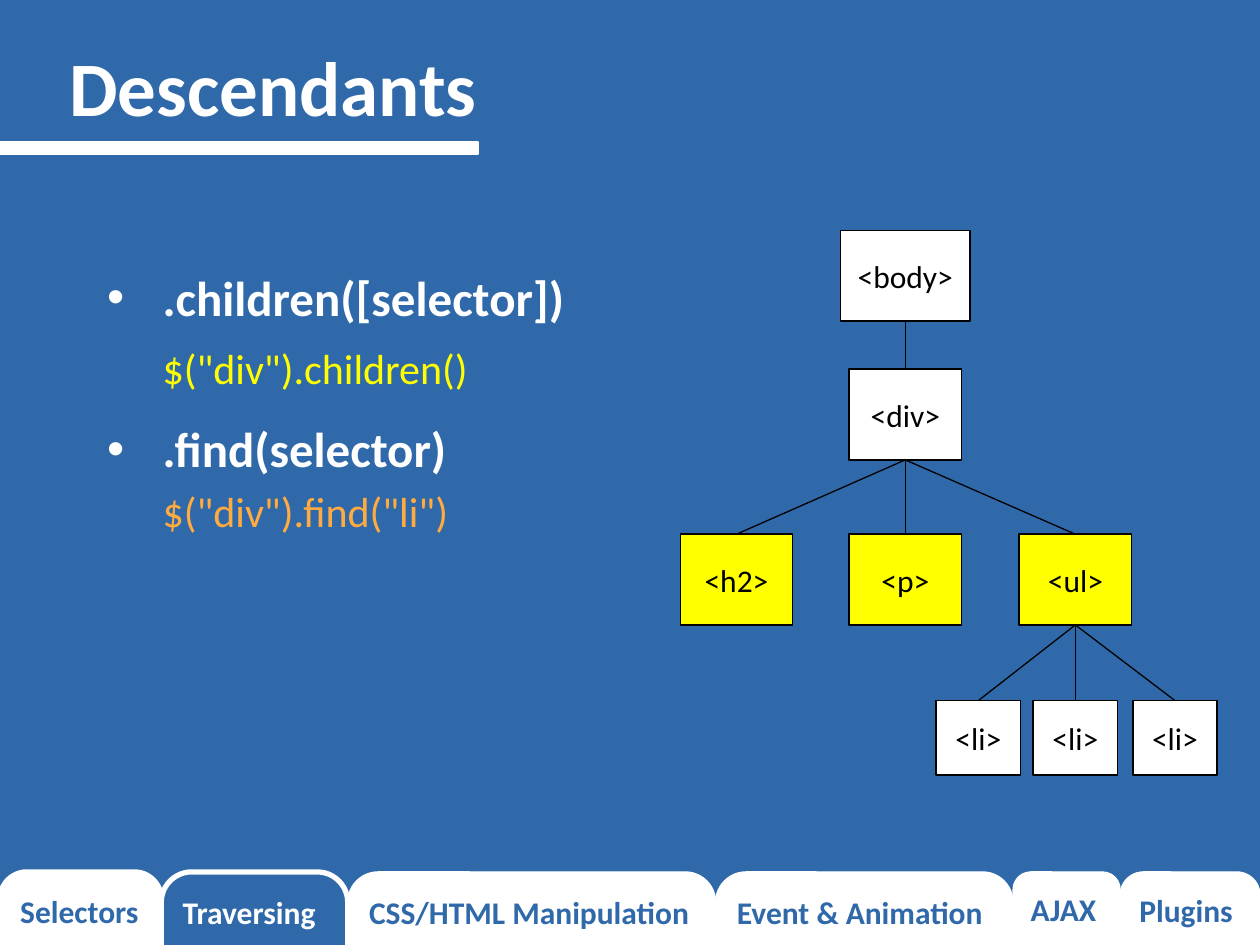
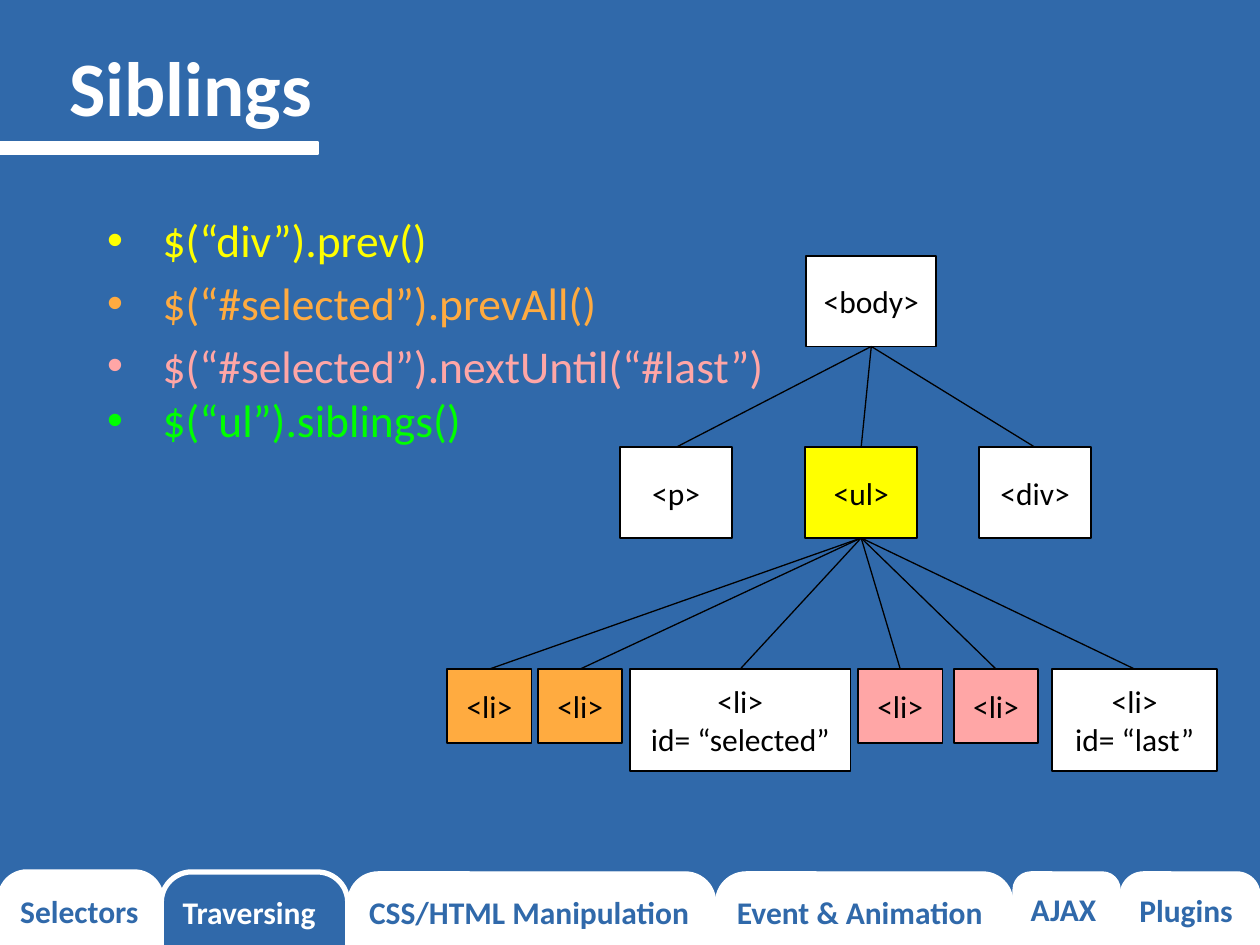
from dataclasses import dataclass, field

from lxml.etree import SubElement
from pptx import Presentation
from pptx.dml.color import RGBColor
from pptx.enum.shapes import MSO_CONNECTOR, MSO_SHAPE
from pptx.enum.text import MSO_ANCHOR, MSO_AUTO_SIZE, PP_ALIGN
from pptx.oxml.ns import qn
from pptx.util import Inches, Pt


@dataclass(frozen=True)
class Theme:
    blue: str = "3069AA"
    white: str = "FFFFFF"
    black: str = "000000"
    yellow: str = "FFFF00"
    orange: str = "FFAB40"
    pink: str = "FFA6A6"
    green: str = "00FF00"
    font: str = "Calibri"
    title_size: int = 44
    method_size: int = 28
    call_size: int = 26
    example_size: int = 24
    label_size: int = 18


THEME = Theme()

# Node sizes: width, height
ROOT = (1.03, 0.72)
ELEMENT = (0.89, 0.72)
ITEM = (0.67, 0.59)

TABS = ["Selectors", "Traversing", "CSS/HTML Manipulation",
        "Event & Animation", "AJAX", "Plugins"]
TAB_EDGES = [0, 1.28, 2.76, 5.68, 8.04, 8.89, 10]
CURRENT_TAB = "Traversing"
TAB_TOP, TAB_HEIGHT = 6.92, 1.45


@dataclass
class Node:
    label: str
    left: float
    top: float
    size: tuple
    fill: str = THEME.white
    children: list = field(default_factory=list)


@dataclass
class Entry:
    text: str
    size: int
    color: str
    bold: bool = False
    bullet: bool = True
    before: float = 0
    spacing: float = 1.15


def set_attributes(target, values):
    for name, value in values.items():
        setattr(target, name, value)


def style_font(font, size, color, bold=False):
    set_attributes(font, {"name": THEME.font, "size": Pt(size), "bold": bold})
    font.color.rgb = RGBColor.from_string(color)


def place(shape, left, top, width, height):
    set_attributes(shape, {"left": Inches(left), "top": Inches(top),
                           "width": Inches(width), "height": Inches(height)})


def add_filled_shape(slide, kind, box, fill, line, line_width):
    shape = slide.shapes.add_shape(kind, *map(Inches, box))
    shape.shadow.inherit = False
    shape.fill.solid()
    shape.fill.fore_color.rgb = RGBColor.from_string(fill)
    shape.line.color.rgb = RGBColor.from_string(line)
    shape.line.width = Pt(line_width)
    return shape


def add_label(shape, text, color, alignment, bold=False):
    frame = shape.text_frame
    frame.word_wrap = True
    frame.text = text
    for paragraph in frame.paragraphs:
        paragraph.alignment = alignment
        style_font(paragraph.font, THEME.label_size, color, bold)
    return frame


# Title with the white bar that runs in from the left edge
def add_title(slide, text, bar_left, bar_width):
    title = slide.shapes.title
    place(title, 0.45, 0, 8.62, 1.45)
    frame = title.text_frame
    frame.text = text
    set_attributes(frame, {"vertical_anchor": MSO_ANCHOR.MIDDLE,
                           "auto_size": MSO_AUTO_SIZE.NONE})
    heading = frame.paragraphs[0]
    set_attributes(heading, {"alignment": PP_ALIGN.LEFT, "line_spacing": 0.9})
    style_font(heading.runs[0].font, THEME.title_size, THEME.white, True)
    bar = add_filled_shape(slide, MSO_SHAPE.MATH_MINUS,
                           (bar_left, 0.97, bar_width, 0.41),
                           THEME.white, THEME.white, 0.75)
    bar.adjustments[0] = 0.235


# Method list in the body placeholder
def add_entries(slide, box, entries):
    body = slide.placeholders[1]
    place(body, *box)
    frame = body.text_frame
    frame.auto_size = MSO_AUTO_SIZE.NONE
    frame.text = "\n".join(entry.text for entry in entries)
    for paragraph, entry in zip(frame.paragraphs, entries):
        set_attributes(paragraph, {"line_spacing": entry.spacing,
                                   "space_before": Pt(entry.before)})
        style_font(paragraph.runs[0].font, entry.size, entry.color, entry.bold)
        properties = paragraph._p.get_or_add_pPr()
        properties.set("marL", str(Inches(0.5)))
        properties.set("indent", str(Inches(-0.44 if entry.bullet else 0)))
        if not entry.bullet:
            SubElement(properties, qn("a:buNone"))


# Element tree: each node is joined to its parent
def add_branch(slide, node, parent=None):
    box = add_filled_shape(slide, MSO_SHAPE.RECTANGLE,
                           (node.left, node.top, *node.size),
                           node.fill, THEME.black, 1)
    frame = add_label(box, node.label, THEME.black, PP_ALIGN.CENTER)
    frame.vertical_anchor = MSO_ANCHOR.MIDDLE
    if parent is not None:
        join_nodes(slide, parent, box)
    for child in node.children:
        add_branch(slide, child, box)


def join_nodes(slide, parent, child):
    branch = slide.shapes.add_connector(MSO_CONNECTOR.STRAIGHT, 0, 0, 0, 0)
    branch.begin_connect(parent, 2)
    branch.end_connect(child, 0)
    branch.line.color.rgb = RGBColor.from_string(THEME.black)
    branch.line.width = Pt(0.75)
    SubElement(branch._element.spPr, qn("a:effectLst"))


# Chapter tabs along the bottom edge
def add_tabs(slide):
    for name, left, right in zip(TABS, TAB_EDGES, TAB_EDGES[1:]):
        current = name == CURRENT_TAB
        fill, ink = ((THEME.blue, THEME.white) if current
                     else (THEME.white, THEME.blue))
        outline = 3 if name in ("Selectors", CURRENT_TAB) else 0.75
        tab = add_filled_shape(slide, MSO_SHAPE.ROUNDED_RECTANGLE,
                               (left, TAB_TOP, right - left, TAB_HEIGHT),
                               fill, THEME.white, outline)
        frame = add_label(tab, name, ink, PP_ALIGN.LEFT, True)
        set_attributes(frame, {"vertical_anchor": MSO_ANCHOR.TOP,
                               "margin_top": Inches(0.1),
                               "margin_bottom": Inches(0.1)})


def add_topic(deck, title, bar, entries_box, entries, tree):
    slide = deck.slides.add_slide(deck.slide_layouts[1])
    add_title(slide, title, *bar)
    add_entries(slide, entries_box, entries)
    add_branch(slide, tree)
    add_tabs(slide)


def descendants_tree():
    items = [Node("<li>", left, 5.56, ITEM) for left in (7.43, 8.2, 8.99)]
    elements = [
        Node("<h2>", 5.4, 4.24, ELEMENT, THEME.yellow),
        Node("<p>", 6.74, 4.24, ELEMENT, THEME.yellow),
        Node("<ul>", 8.09, 4.24, ELEMENT, THEME.yellow, items),
    ]
    division = Node("<div>", 6.74, 2.93, ELEMENT, children=elements)
    return Node("<body>", 6.67, 1.83, ROOT, children=[division])


def siblings_tree():
    items = [Node("<li>", left, 5.31, ITEM, fill) for left, fill in (
        (3.55, THEME.orange), (4.27, THEME.orange),
        (6.81, THEME.pink), (7.57, THEME.pink))]
    items += [Node("<li>\nid= “selected”", 5, 5.31, (1.75, 0.81)),
              Node("<li>\nid= “last”", 8.35, 5.31, (1.31, 0.81))]
    elements = [
        Node("<p>", 4.92, 3.55, ELEMENT),
        Node("<ul>", 6.39, 3.55, ELEMENT, THEME.yellow, items),
        Node("<div>", 7.77, 3.55, ELEMENT),
    ]
    return Node("<body>", 6.4, 2.03, ROOT, children=elements)


def main():
    deck = Presentation()
    set_attributes(deck, {"slide_width": Inches(10),
                          "slide_height": Inches(7.5)})
    background = deck.slide_master.background.fill
    background.solid()
    background.fore_color.rgb = RGBColor.from_string(THEME.blue)

    add_topic(deck, "Descendants", (-1.23, 5.79), (0.69, 2, 4.64, 4.76), [
        Entry(".children([selector])", THEME.method_size, THEME.white, True),
        Entry('$("div").children()', THEME.example_size, THEME.yellow,
              bullet=False, before=5),
        Entry(".find(selector)", THEME.method_size, THEME.white, True,
              before=10),
        Entry('$("div").find("li")', THEME.example_size, THEME.orange,
              bullet=False),
    ], descendants_tree())

    add_topic(deck, "Siblings", (-0.59, 3.59), (0.69, 1.57, 6.1, 5.14), [
        Entry("$(“div”).prev()", THEME.call_size, THEME.yellow),
        Entry("$(“#selected”).prevAll()", THEME.call_size, THEME.orange),
        Entry("$(“#selected”).nextUntil(“#last”)", THEME.call_size,
              THEME.pink),
        Entry("$(“ul”).siblings()", THEME.call_size, THEME.green, spacing=1.0),
    ], siblings_tree())

    deck.save("out.pptx")


if __name__ == "__main__":
    main()
